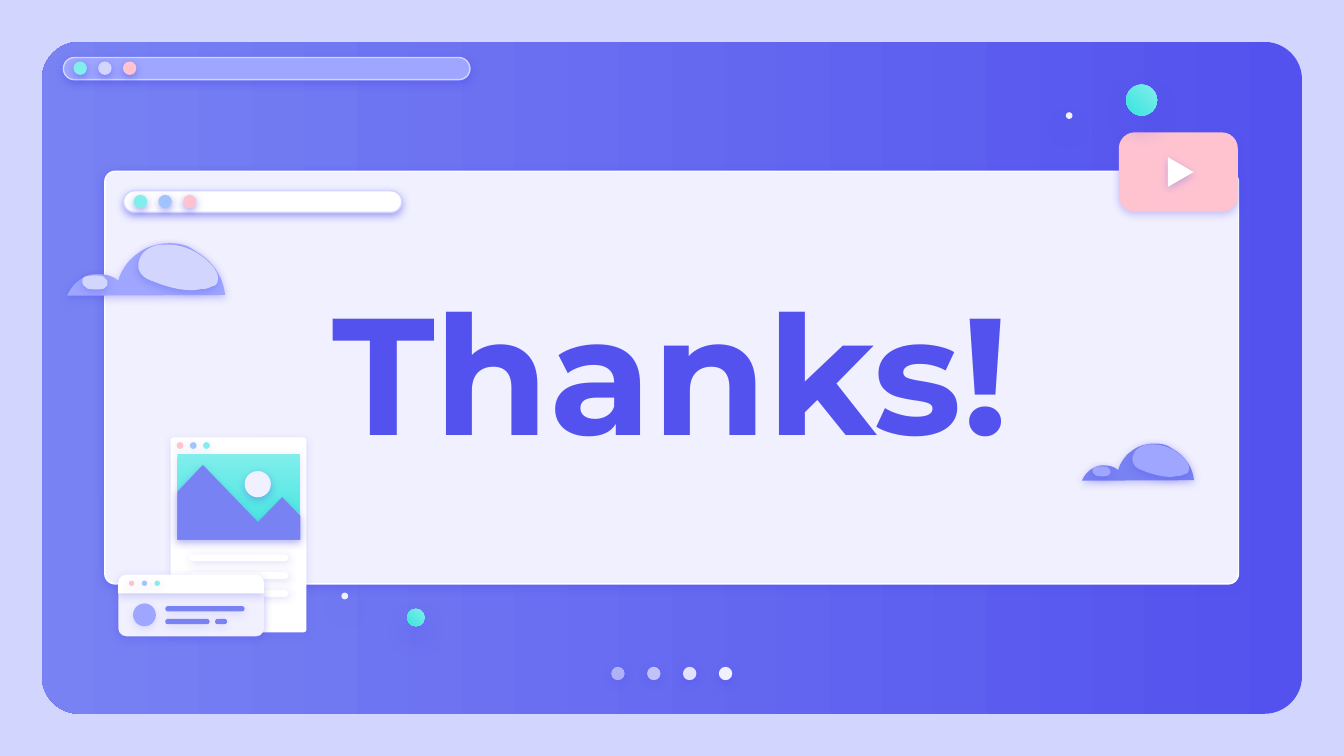
from dataclasses import dataclass
from typing import NamedTuple

from lxml import etree
from pptx import Presentation
from pptx.dml.color import RGBColor
from pptx.enum.shapes import MSO_SHAPE
from pptx.enum.text import MSO_ANCHOR, PP_ALIGN
from pptx.oxml.ns import qn
from pptx.util import Inches, Pt

RECTANGLE = MSO_SHAPE.RECTANGLE
ROUNDED = MSO_SHAPE.ROUNDED_RECTANGLE
TOP_ROUNDED = MSO_SHAPE.ROUND_2_SAME_RECTANGLE
OVAL = MSO_SHAPE.OVAL
CENTER = PP_ALIGN.CENTER
MIDDLE = MSO_ANCHOR.MIDDLE

COLUMNS, ROWS = 100, 56.25
WIDTH = Inches(10)
HEIGHT = WIDTH * 9 // 16
CURVE_STEPS = 12
COLORS = {
    "indigo": "5352EE", "blue": "7882F3", "periwinkle": "9EA6FF",
    "lavender": "D2D6FF", "mist": "F1F0FF", "white": "FFFFFF",
    "sky": "A1C3FF", "pink": "FFC3D0", "mint": "81EEEB", "teal": "3AE4DF",
}


class Box(NamedTuple):
    left: float
    top: float
    width: float
    height: float


class Shadow(NamedTuple):
    opacity: int
    blur: float = 4.5
    distance: float = 1.5
    angle: int = 90


class Gradient(NamedTuple):
    start: str
    end: str
    angle: int


@dataclass
class DotRow:
    left: float
    top: float
    size: float
    step: float
    colors: tuple
    shadow: Shadow
    opacities: tuple = (100, 100, 100, 100)


@dataclass
class Cloud:
    left: float
    top: float
    scale: float
    body: str
    highlight: str


STRONG, MEDIUM, SOFT = Shadow(50), Shadow(34), Shadow(14)
CLOUD_SHADOW, HEADER_SHADOW = Shadow(31), Shadow(24)
LINE_SHADOW = Shadow(18, angle=39)
BUBBLE_SHADOW = Shadow(38, 12.4, 6.8)
BUBBLE_FILL = Gradient("mint", "teal", 135)

CLOUD_BODY = [
    [(7.6, 0)],
    [(6.7, 0), (5.8, 0.3), (5.2, 0.8)], [(4.6, 1.2), (4, 2), (3.8, 2.8)],
    [(3.4, 2.4), (2.8, 2.3), (2.3, 2.3)], [(2.1, 2.3), (1.8, 2.3), (1.6, 2.4)],
    [(0.9, 2.6), (0.3, 3.2), (0, 3.9)], [(11.75, 3.85)],
    [(11.6, 2.4), (10.7, 1.2), (9.4, 0.5)], [(8.9, 0.1), (8.2, 0), (7.6, 0)],
]
LARGE_HIGHLIGHT = [
    [(7.5, 0.1)],
    [(7.3, 0.1), (7.1, 0.1), (6.9, 0.1)], [(6.4, 0.2), (5.9, 0.4), (5.6, 0.8)],
    [(5.3, 1.2), (5.2, 1.7), (5.4, 2.1)], [(5.6, 2.5), (6, 2.7), (6.3, 2.8)],
    [(7.3, 3.2), (8.3, 3.5), (9.3, 3.5)], [(9.6, 3.5), (9.9, 3.4), (10.1, 3.4)],
    [(10.4, 3.4), (10.6, 3.3), (10.8, 3.2)], [(11, 3.2), (11.2, 3), (11.2, 2.8)],
    [(11.3, 2.4), (11.1, 2.1), (10.9, 1.8)], [(10.1, 0.8), (8.8, 0.1), (7.5, 0.1)],
]
SMALL_HIGHLIGHT = [
    [(2.1, 2.4)],
    [(1.8, 2.4), (1.3, 2.4), (1.2, 2.6)], [(1.1, 2.7), (1.1, 2.9), (1.2, 3.1)],
    [(1.3, 3.2), (1.5, 3.4), (1.6, 3.4)], [(1.9, 3.45), (2.4, 3.45), (2.6, 3.4)],
    [(2.8, 3.4), (2.9, 3.2), (3, 3.1)], [(3, 2.9), (3, 2.7), (2.8, 2.6)],
    [(2.7, 2.4), (2.3, 2.4), (2.1, 2.4)],
]


def across(columns: float) -> int:
    return round(WIDTH * columns / COLUMNS)


def down(rows: float) -> int:
    return round(HEIGHT * rows / ROWS)


def rgb(name: str) -> RGBColor:
    return RGBColor.from_string(COLORS[name])


def paint(shape, fill, shadow=None, line=None, opacity=100) -> None:
    if isinstance(fill, Gradient):
        shape.fill.gradient()
        shape.fill.gradient_angle = 360 - fill.angle
        for stop, name, position in zip(shape.fill.gradient_stops, fill[:2], (0, 1)):
            stop.color.rgb = rgb(name)
            stop.position = position
    else:
        shape.fill.solid()
        shape.fill.fore_color.rgb = rgb(fill)
    properties = shape._element.spPr
    if opacity < 100:
        color = properties.find(qn("a:solidFill"))[0]
        etree.SubElement(color, qn("a:alpha"), val=str(opacity * 1000))
    if line:
        shape.line.color.rgb = rgb(line)
        shape.line.width = Pt(0.75)
    else:
        shape.line.fill.background()
    shape.shadow.inherit = False
    if shadow:
        outer = etree.SubElement(
            properties.find(qn("a:effectLst")), qn("a:outerShdw"),
            blurRad=str(Pt(shadow.blur)), dist=str(Pt(shadow.distance)),
            dir=str(shadow.angle * 60000), algn="bl", rotWithShape="0")
        color = etree.SubElement(outer, qn("a:srgbClr"), val=COLORS["indigo"])
        etree.SubElement(color, qn("a:alpha"), val=str(shadow.opacity * 1000))


def add_block(slide, kind, box: Box, fill, shadow=None, radius=None, rotation=0, **style):
    shape = slide.shapes.add_shape(
        kind, across(box.left), down(box.top), across(box.width), down(box.height))
    if radius is not None:
        shape.adjustments[0] = radius
    shape.rotation = rotation
    paint(shape, fill, shadow, **style)


def add_polygon(slide, points: list, fill: str, shadow: Shadow) -> None:
    corners = [(across(x), down(y)) for x, y in points]
    builder = slide.shapes.build_freeform(*corners[0])
    builder.add_line_segments(corners[1:], close=True)
    paint(builder.convert_to_shape(), fill, shadow)


def trace(segments: list) -> list:
    points = []
    for segment in segments:
        if len(segment) == 1:
            points += segment
            continue
        controls = [points[-1], *segment]
        for step in range(1, CURVE_STEPS + 1):
            t = step / CURVE_STEPS
            weights = ((1 - t) ** 3, 3 * t * (1 - t) ** 2, 3 * t * t * (1 - t), t ** 3)
            points.append(tuple(
                sum(w * point[axis] for w, point in zip(weights, controls))
                for axis in (0, 1)))
    return points


def add_cloud(slide, cloud: Cloud) -> None:
    for outline, fill in ((CLOUD_BODY, cloud.body), (LARGE_HIGHLIGHT, cloud.highlight),
                          (SMALL_HIGHLIGHT, cloud.highlight)):
        points = [(cloud.left + x * cloud.scale, cloud.top + y * cloud.scale)
                  for x, y in trace(outline)]
        add_polygon(slide, points, fill, CLOUD_SHADOW)


def add_dots(slide, row: DotRow) -> None:
    for index, (color, opacity) in enumerate(zip(row.colors, row.opacities)):
        box = Box(row.left + index * row.step, row.top, row.size, row.size)
        add_block(slide, OVAL, box, color, row.shadow, opacity=opacity)


def add_bar(slide, box: Box, fill: str, colors: tuple) -> None:
    add_block(slide, ROUNDED, box, fill, STRONG, 0.5, line="lavender")
    add_dots(slide, DotRow(box.left + 0.75, box.top + 0.3, 1, 1.84, colors, STRONG))


def write_text(shape, text: str, *, size: float, color: str, font: str, bold: bool) -> None:
    frame = shape.text_frame
    frame.word_wrap = True
    frame.vertical_anchor = MIDDLE
    frame.margin_left = frame.margin_right = Inches(0.1)
    frame.margin_top = frame.margin_bottom = Inches(0.1)
    paragraph = frame.paragraphs[0]
    paragraph.alignment = CENTER
    paragraph.line_spacing = 0.8
    run = paragraph.add_run()
    run.text = text
    run.font.size = Pt(size)
    run.font.bold = bold
    run.font.name = font
    run.font.color.rgb = rgb(color)


def add_title(slide, text: str, box: Box) -> None:
    title = slide.shapes.title
    slide.shapes._spTree.append(title._element)
    title.left, title.top = across(box.left), down(box.top)
    title.width, title.height = across(box.width), down(box.height)
    write_text(title, text, size=89, color="indigo", font="Montserrat", bold=True)


def add_video(slide) -> None:
    add_block(slide, ROUNDED, Box(83.25, 9.85, 8.85, 5.9), "pink", CLOUD_SHADOW, 0.2)
    add_polygon(slide, [(86.9, 11.7), (88.8, 12.8), (86.9, 13.9)], "white", CLOUD_SHADOW)


def add_bubbles(slide, large: Box, small: Box) -> None:
    add_block(slide, OVAL, large, BUBBLE_FILL, BUBBLE_SHADOW)
    add_block(slide, OVAL, small, "mist", BUBBLE_SHADOW)


def add_document(slide) -> None:
    add_block(slide, ROUNDED, Box(12.7, 32.55, 10.1, 14.5), "white", SOFT, 0.02)
    for index in range(3):
        box = Box(14.05, 41.25 + index * 1.33, 7.4, 0.5)
        add_block(slide, ROUNDED, box, "white", LINE_SHADOW, 0.5)
    add_dots(slide, DotRow(13.15, 32.9, 0.5, 0.98, ("pink", "sky", "mint"), SOFT))
    add_block(slide, RECTANGLE, Box(13.2, 33.8, 9.15, 6.35), Gradient("mint", "teal", 90), SOFT)
    mountains = [(15.1, 34.6), (13.2, 36.6), (13.2, 40.15), (22.35, 40.15),
                 (22.35, 38.4), (21, 37), (19.2, 38.85)]
    add_polygon(slide, mountains, "blue", MEDIUM)
    add_block(slide, OVAL, Box(18.2, 35.05, 1.95, 1.95), "mist", MEDIUM)


def add_window(slide) -> None:
    add_block(slide, TOP_ROUNDED, Box(8.8, 44.1, 10.85, 3.25), "mist", MEDIUM, 0.19, 180)
    add_block(slide, TOP_ROUNDED, Box(8.8, 42.75, 10.85, 1.4), "white", HEADER_SHADOW, 0.43)
    add_dots(slide, DotRow(9.6, 43.2, 0.4, 0.95, ("pink", "sky", "mint"), SOFT))
    add_block(slide, OVAL, Box(9.9, 44.9, 1.7, 1.7), "periwinkle", SOFT)
    for left, top, width in ((12.3, 45.1, 5.9), (12.3, 46.05, 3.3), (16, 46.05, 0.9)):
        add_block(slide, ROUNDED, Box(left, top, width, 0.4), "blue", SOFT, 0.5)


def main() -> None:
    presentation = Presentation()
    presentation.slide_width, presentation.slide_height = WIDTH, HEIGHT
    slide = presentation.slides.add_slide(presentation.slide_layouts[5])
    slide.background.fill.solid()
    slide.background.fill.fore_color.rgb = rgb("lavender")

    add_block(slide, ROUNDED, Box(3.12, 3.12, 93.76, 50), Gradient("indigo", "blue", 180), radius=0.056)
    add_bar(slide, Box(4.72, 4.28, 30.25, 1.65), "periwinkle", ("mint", "lavender", "pink"))
    add_dots(slide, DotRow(45.48, 49.62, 1, 2.67, ("mist",) * 4, STRONG, (54, 67, 90, 100)))
    add_block(slide, ROUNDED, Box(7.8, 12.75, 84.35, 30.7), "mist", STRONG, 0.025, line="white")
    add_title(slide, "Thanks!", Box(16.45, 15, 67, 27.7))
    add_cloud(slide, Cloud(5, 18.1, 1, "periwinkle", "lavender"))
    add_video(slide)
    add_cloud(slide, Cloud(80.5, 33, 0.71, "blue", "periwinkle"))
    add_bubbles(slide, Box(83.8, 6.3, 2.3, 2.3), Box(79.3, 8.35, 0.5, 0.5))
    add_bubbles(slide, Box(30.3, 45.3, 1.3, 1.3), Box(25.4, 44.1, 0.5, 0.5))
    add_document(slide)
    add_window(slide)
    add_bar(slide, Box(9.2, 14.2, 20.7, 1.6), "white", ("mint", "sky", "pink"))
    presentation.save("out.pptx")


if __name__ == "__main__":
    main()
